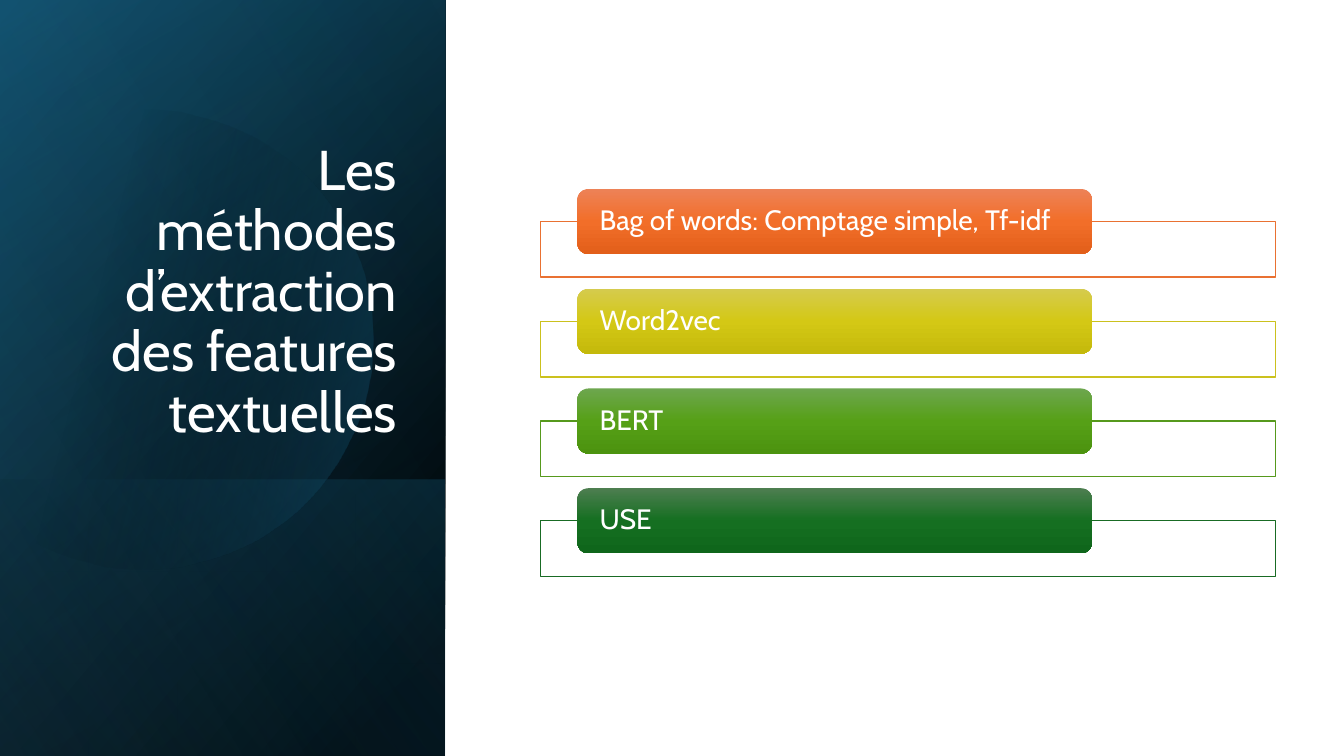
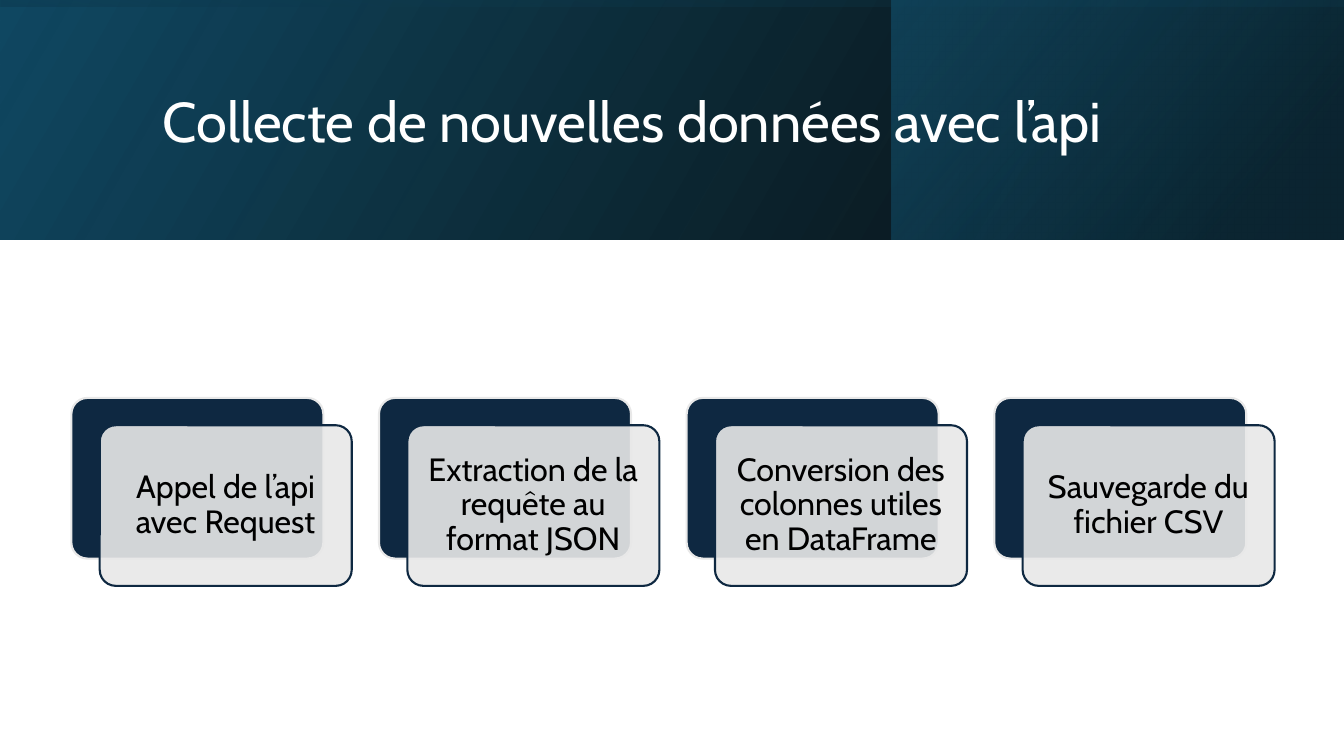
import math

import lxml.etree
import pptx
import pptx.dml.color
import pptx.enum.shapes
import pptx.enum.text
import pptx.oxml.ns
import pptx.util

RGBColor = pptx.dml.color.RGBColor
MSO_SHAPE = pptx.enum.shapes.MSO_SHAPE
PP_ALIGN = pptx.enum.text.PP_ALIGN
MSO_ANCHOR = pptx.enum.text.MSO_ANCHOR
qn = pptx.oxml.ns.qn

PX = 9525
FONT = "Cabin"
WHITE = RGBColor(0xFF, 0xFF, 0xFF)
BLACK = RGBColor(0x00, 0x00, 0x00)
DEEP_BLUE = RGBColor(0x10, 0x48, 0x62)
TEAL = RGBColor(0x15, 0x60, 0x82)
DARK_TEAL = RGBColor(0x0B, 0x30, 0x41)
SKY = RGBColor(0x46, 0xB1, 0xE1)
NAVY = RGBColor(0x0E, 0x28, 0x41)
PALE_GREY = RGBColor(0xE8, 0xE8, 0xE8)
ORANGE = RGBColor(0xE9, 0x71, 0x32)
ORANGE_TOP = RGBColor(0xED, 0x82, 0x57)
ORANGE_MIDDLE = RGBColor(0xF2, 0x6E, 0x29)
ORANGE_BOTTOM = RGBColor(0xE2, 0x5F, 0x1A)
YELLOW = RGBColor(0xCB, 0xC1, 0x1E)
YELLOW_TOP = RGBColor(0xD5, 0xCB, 0x4E)
YELLOW_MIDDLE = RGBColor(0xD4, 0xC8, 0x15)
YELLOW_BOTTOM = RGBColor(0xC4, 0xB9, 0x0B)
GREEN = RGBColor(0x56, 0x99, 0x1D)
GREEN_TOP = RGBColor(0x6D, 0xA6, 0x4E)
GREEN_MIDDLE = RGBColor(0x56, 0xA0, 0x17)
GREEN_BOTTOM = RGBColor(0x4C, 0x93, 0x0F)
FOREST = RGBColor(0x19, 0x6B, 0x24)
FOREST_TOP = RGBColor(0x4D, 0x7E, 0x50)
FOREST_MIDDLE = RGBColor(0x15, 0x6F, 0x21)
FOREST_BOTTOM = RGBColor(0x0F, 0x66, 0x1B)

TITLE = {"size": 40, "color": WHITE, "inset": (10, 5)}


def paint(shape, stops, angle=0, line=None, line_width=1, flip=False):
    """Fill with (position, colour, opacity) stops; a single stop is a solid fill."""
    shape.shadow.inherit = False
    properties = shape._element.spPr
    if flip:
        properties.xfrm.set("flipH", "1")
    if line is None:
        shape.line.fill.background()
    else:
        shape.line.color.rgb = line
        shape.line.width = pptx.util.Pt(line_width)
    if len(stops) == 1:
        shape.fill.solid()
        shape.fill.fore_color.rgb = stops[0][1]
        colors = [properties.find(qn("a:solidFill")).find(qn("a:srgbClr"))]
    else:
        shape.fill.gradient()
        gradient = properties.find(qn("a:gradFill"))
        gradient.find(qn("a:lin")).set("ang", str(angle * 60000))
        stop_list = gradient.find(qn("a:gsLst"))
        for old_stop in list(stop_list):
            stop_list.remove(old_stop)
        colors = []
        for position, color, _ in stops:
            stop = lxml.etree.SubElement(stop_list, qn("a:gs"), pos=str(position * 1000))
            colors.append(lxml.etree.SubElement(stop, qn("a:srgbClr"), val=str(color)))
    for element, (_, _, opacity) in zip(colors, stops):
        if opacity < 100:
            lxml.etree.SubElement(element, qn("a:alpha"), val=str(opacity * 1000))


def write_text(shape, text, size=20, color=BLACK, align=PP_ALIGN.LEFT,
               anchor=MSO_ANCHOR.MIDDLE, inset=(0, 0)):
    frame = shape.text_frame
    frame.word_wrap = True
    frame.vertical_anchor = anchor
    frame.margin_left = frame.margin_right = inset[0] * PX
    frame.margin_top = frame.margin_bottom = inset[1] * PX
    paragraph = frame.paragraphs[0]
    paragraph.alignment = align
    paragraph.line_spacing = 0.9
    run = paragraph.add_run()
    run.text = text
    run.font.name = FONT
    run.font.size = pptx.util.Pt(size)
    run.font.color.rgb = color


presentation = pptx.Presentation()
presentation.slide_width = 1280 * PX
presentation.slide_height = 720 * PX
blank_layout = presentation.slide_layouts[6]
methods_slide = presentation.slides.add_slide(blank_layout)
collection_slide = presentation.slides.add_slide(blank_layout)

# Bands behind the titles: slide, visible box, rotation, stops, angle
BANDS = [
    (methods_slide, (0, 0, 424, 720), 90, [(8, BLACK, 100), (100, DEEP_BLUE, 100)], 50),
    (methods_slide, (0, 0, 424, 720), 90, [(0, BLACK, 0), (99, TEAL, 46)], 30),
    (methods_slide, (0, 457, 424, 263), 90, [(2, TEAL, 29), (100, BLACK, 30)], 130),
    (methods_slide, (0, 0, 424, 720), 90, [(0, BLACK, 0), (99, SKY, 11)], 120),
    (collection_slide, (0, 0, 1280, 228), 0, [(0, BLACK, 96), (100, DEEP_BLUE, 100)], 330),
    (collection_slide, (849, 0, 431, 228), 0, [(19, DARK_TEAL, 68), (100, TEAL, 48)], 320),
    (collection_slide, (0, 0, 1280, 228), 270, [(23, DEEP_BLUE, 16), (99, BLACK, 45)], 350),
]
for slide, (left, top, width, height), rotation, stops, angle in BANDS:
    if rotation:
        # A quarter turn swaps the sides around the same centre.
        left, top = left + (width - height) // 2, top + (height - width) // 2
        width, height = height, width
    band = slide.shapes.add_shape(MSO_SHAPE.RECTANGLE, left * PX, top * PX, width * PX, height * PX)
    band.rotation = rotation
    paint(band, stops, angle, flip=True)

# Disc cut by the left edge of the slide
disc_points = [(137 + 219 * math.cos(math.radians(degree)), 323 + 219 * math.sin(math.radians(degree)))
               for degree in range(-128, 129, 4)]
builder = methods_slide.shapes.build_freeform(*disc_points[0], scale=PX)
builder.add_line_segments(disc_points[1:], close=True)
paint(builder.convert_to_shape(), [(29, BLACK, 0), (100, TEAL, 43)], 14)

# Slide 1: extraction methods
title = methods_slide.shapes.add_textbox(61 * PX, 177 * PX, 327 * PX, 251 * PX)
write_text(title, "Les méthodes d’extraction des features textuelles",
           align=PP_ALIGN.RIGHT, anchor=MSO_ANCHOR.BOTTOM, **TITLE)

METHODS = [
    ("Bag of words: Comptage simple, Tf-idf", ORANGE, (ORANGE_TOP, ORANGE_MIDDLE, ORANGE_BOTTOM)),
    ("Word2vec", YELLOW, (YELLOW_TOP, YELLOW_MIDDLE, YELLOW_BOTTOM)),
    ("BERT", GREEN, (GREEN_TOP, GREEN_MIDDLE, GREEN_BOTTOM)),
    ("USE", FOREST, (FOREST_TOP, FOREST_MIDDLE, FOREST_BOTTOM)),
]
for index, (name, outline, shades) in enumerate(METHODS):
    top = 180 + 95 * index
    frame_box = methods_slide.shapes.add_shape(
        MSO_SHAPE.RECTANGLE, 515 * PX, (top + 31) * PX, 700 * PX, 53 * PX)
    paint(frame_box, [(0, WHITE, 90)], line=outline)
    button = methods_slide.shapes.add_shape(
        MSO_SHAPE.ROUNDED_RECTANGLE, 550 * PX, top * PX, 490 * PX, 62 * PX)
    paint(button, [(50 * step, shade, 100) for step, shade in enumerate(shades)], 90)
    write_text(button, name, color=WHITE, inset=(18, 0))

# Slide 2: collection steps
title = collection_slide.shapes.add_textbox(145 * PX, 36 * PX, 1020 * PX, 165 * PX)
write_text(title, "Collecte de nouvelles données avec l’api", **TITLE)

STEPS = [
    "Appel de l’api avec Request",
    "Extraction de la requête au format JSON",
    "Conversion des colonnes utiles en DataFrame",
    "Sauvegarde du fichier CSV",
]
for index, step in enumerate(STEPS):
    left = 68 + 293 * index
    for offset_x, offset_y, fill, opacity, outline in [
        (0, 0, NAVY, 100, PALE_GREY),
        (27, 26, PALE_GREY, 90, NAVY),
    ]:
        card = collection_slide.shapes.add_shape(
            MSO_SHAPE.ROUNDED_RECTANGLE, (left + offset_x) * PX, (379 + offset_y) * PX, 240 * PX, 153 * PX)
        card.adjustments[0] = 0.1
        paint(card, [(0, fill, opacity)], line=outline, line_width=1.5)
    write_text(card, step, size=23, align=PP_ALIGN.CENTER, inset=(10, 10))

presentation.save("out.pptx")
